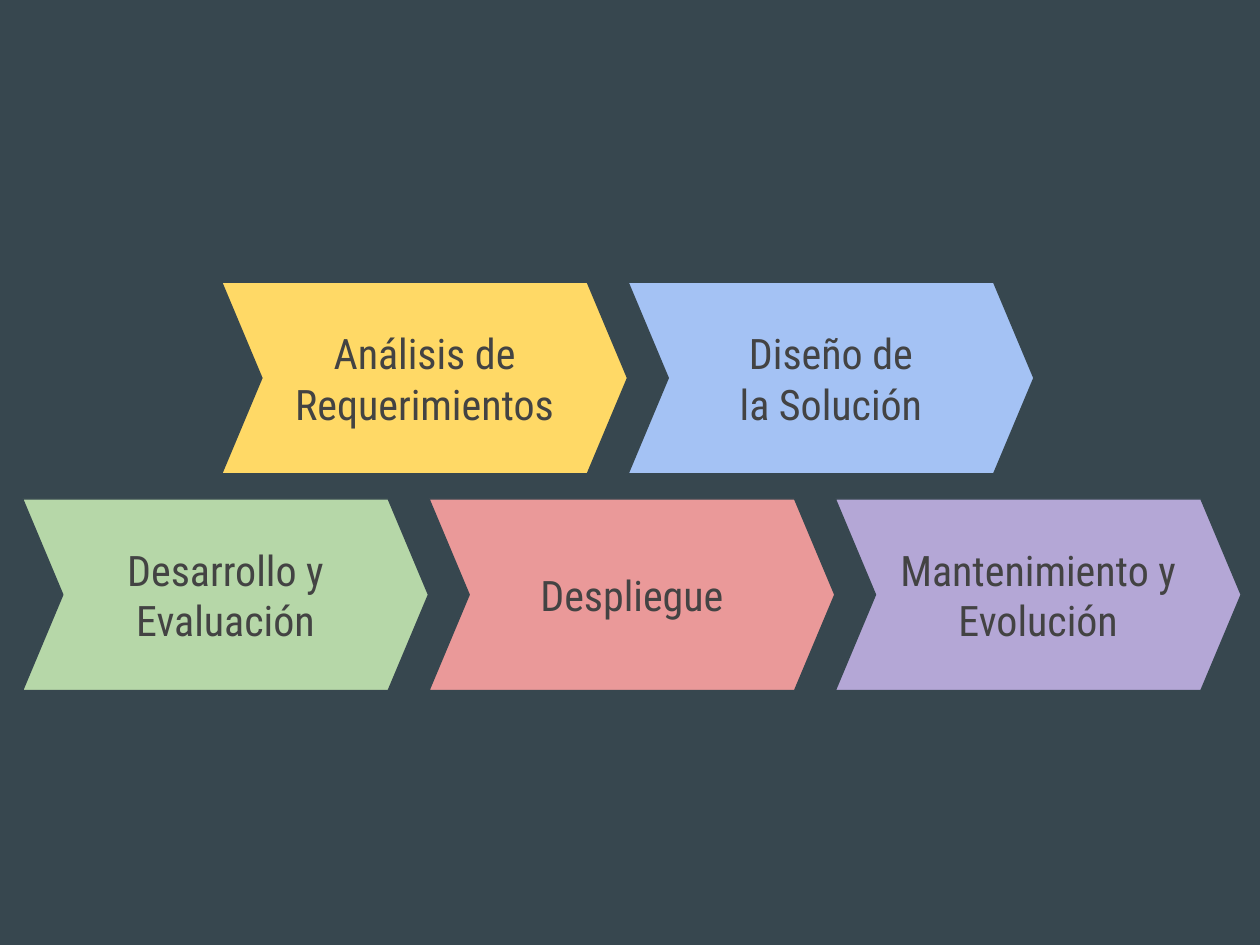
from pptx import Presentation
from pptx import util as u
from pptx.dml.color import RGBColor
from pptx.enum import shapes, text

# Content: rows of process steps, each with its left and top edge
ROWS = [
    (1.76, 2.24, [("Análisis de Requerimientos", "yellow"),
                  ("Diseño de\nla Solución", "blue")]),
    (0.18, 3.96, [("Desarrollo y Evaluación", "green"),
                  ("Despliegue", "red"),
                  ("Mantenimiento y\nEvolución", "purple")]),
]
COLORS = {
    "back": "37474F", "text": "434343", "yellow": "FFD966", "blue": "A4C2F4",
    "green": "B6D7A8", "red": "EA9999", "purple": "B4A7D6",
}
FONT = "Roboto Condensed"
WIDTH, HEIGHT, PITCH = 3.22, 1.52, 3.225
POINT = 0.21


def color(name):
    return RGBColor.from_string(COLORS[name])


def add_step(slide, left, top, label, fill):
    step = slide.shapes.add_shape(
        shapes.MSO_SHAPE.CHEVRON, u.Inches(left), u.Inches(top),
        u.Inches(WIDTH), u.Inches(HEIGHT))
    step.adjustments[0] = POINT
    step.shadow.inherit = False
    step.fill.solid()
    step.fill.fore_color.rgb = color(fill)
    step.line.color.rgb = color("back")
    step.line.width = u.Pt(0.75)

    # Centred label
    frame = step.text_frame
    frame.word_wrap = True
    frame.vertical_anchor = text.MSO_ANCHOR.MIDDLE
    frame.margin_left = frame.margin_right = u.Inches(0.1)
    frame.margin_top = frame.margin_bottom = u.Inches(0.1)
    frame.text = label
    for para in frame.paragraphs:
        para.alignment = text.PP_ALIGN.CENTER
        for run in para.runs:
            run.font.name = FONT
            run.font.size = u.Pt(24)
            run.font.color.rgb = color("text")


def main():
    deck = Presentation()
    deck.slide_width, deck.slide_height = u.Inches(10), u.Inches(7.5)
    slide = deck.slides.add_slide(deck.slide_layouts[6])

    # Background
    slide.background.fill.solid()
    slide.background.fill.fore_color.rgb = color("back")

    # Chevrons, evenly spaced along each row
    for left, top, steps in ROWS:
        for i, (label, fill) in enumerate(steps):
            add_step(slide, left + i * PITCH, top, label, fill)

    deck.save("out.pptx")


if __name__ == "__main__":
    main()
